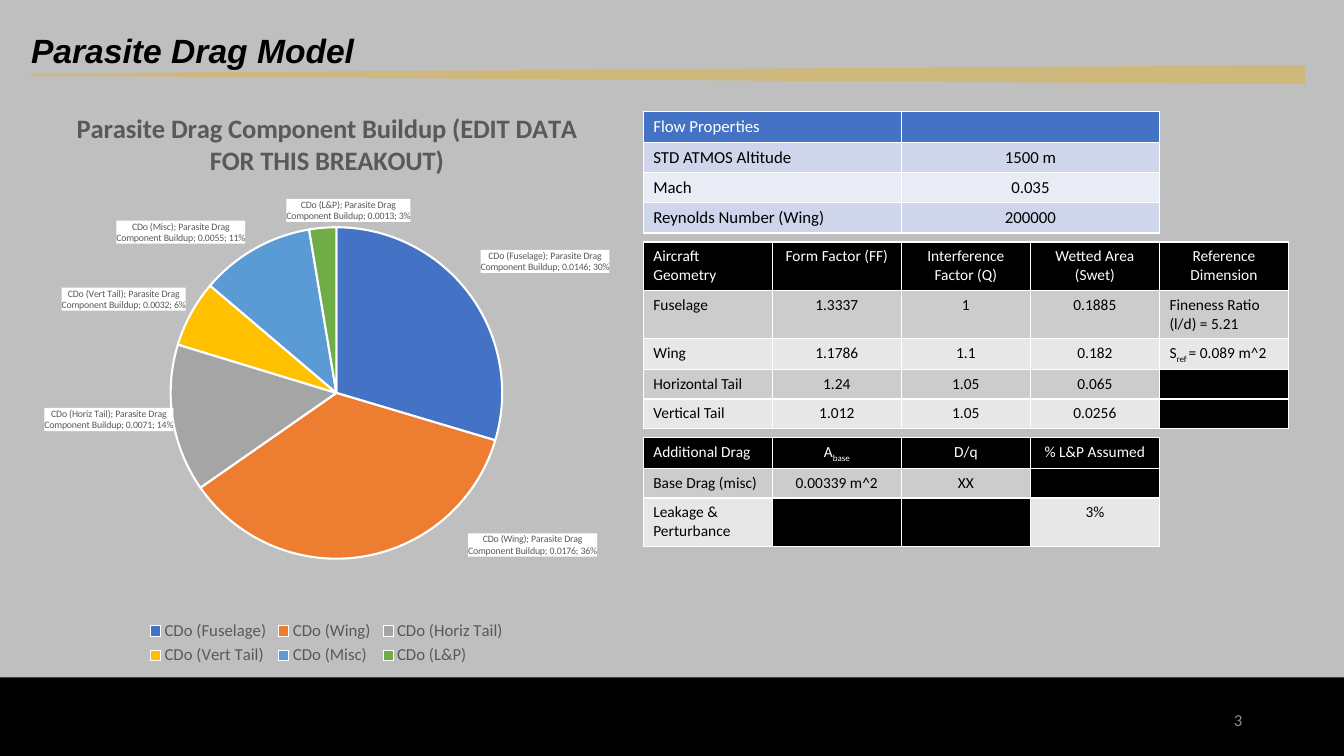
"""Build the parasite drag model slide with its pie chart and three tables."""
import pptx
import pptx.chart.data
import pptx.dml.color
import pptx.enum.chart
import pptx.enum.shapes
import pptx.enum.text
import pptx.oxml
import pptx.oxml.ns
import pptx.util

Inches, Pt = pptx.util.Inches, pptx.util.Pt
ALIGN = pptx.enum.text.PP_ALIGN
COLOURS = {
    name: pptx.dml.color.RGBColor.from_string(value)
    for name, value in {
        "background": "BFBFBF", "gold": "CFB87C", "black": "000000", "white": "FFFFFF",
        "number": "8C8C8C", "chart text": "595959", "blue": "4472C4",
        "blue dark": "CFD5EA", "blue light": "E9EBF5",
        "grey dark": "CCCCCC", "grey light": "E7E7E7",
        "orange": "ED7D31", "grey": "A5A5A5", "yellow": "FFC000",
        "sky": "5B9BD5", "green": "70AD47",
    }.items()
}


def style_font(font, size, colour, **formats):
    """Set the font name, size, colour and any other format values."""
    for name, value in {"name": "Calibri", "size": Pt(size), "bold": False, **formats}.items():
        setattr(font, name, value)
    font.color.rgb = COLOURS[colour]


def set_layout(element, **places):
    """Give a chart element a manual layout in fractions of the chart."""
    values = "".join(f'<c:{name} val="{value}"/>' for name, value in places.items())
    layout = pptx.oxml.parse_xml(
        f'<c:layout {pptx.oxml.ns.nsdecls("c")}><c:manualLayout>{values}</c:manualLayout></c:layout>')
    for previous in element.findall(pptx.oxml.ns.qn("c:layout")):
        element.remove(previous)
    anchor = element.find(pptx.oxml.ns.qn("c:tx"))
    if anchor is None:
        anchor = element.find(pptx.oxml.ns.qn("c:legendPos"))
    if anchor is None:
        element.insert(0, layout)
    else:
        anchor.addnext(layout)


deck = pptx.Presentation()
deck.slide_width, deck.slide_height = Inches(13.33), Inches(7.5)
page = deck.slides.add_slide(deck.slide_layouts[6])
page.background.fill.solid()
page.background.fill.fore_color.rgb = COLOURS["background"]

shapes = pptx.enum.shapes.MSO_SHAPE
for kind, place, colour, turn in [
    (shapes.TRAPEZOID, (6.53, -5.58, 0.19, 12.64), "gold", 270),
    (shapes.RECTANGLE, (0, 6.72, 13.33, 0.78), "black", 0),
]:
    band = page.shapes.add_shape(kind, *map(Inches, place))
    band.shadow.inherit = False
    band.rotation = turn
    band.fill.solid()
    band.fill.fore_color.rgb = COLOURS[colour]
    band.line.fill.background()
    if turn:
        band.adjustments[0] = 0.44

for text, place, align, size, colour, formats in [
    ("Parasite Drag Model", (0.21, 0.13, 12.21, 0.78), ALIGN.LEFT, 24, "black",
     {"name": "Arial", "bold": True, "italic": True}),
    ("3", (9.42, 6.95, 3, 0.4), ALIGN.RIGHT, 12, "number", {}),
]:
    box = page.shapes.add_textbox(*map(Inches, place))
    box.text_frame.word_wrap = True
    box.text_frame.vertical_anchor = pptx.enum.text.MSO_ANCHOR.MIDDLE
    para = box.text_frame.paragraphs[0]
    para.alignment = align
    para.line_spacing = 0.9
    span = para.add_run()
    span.text = text
    style_font(span.font, size, colour, **formats)

drag_parts = [
    ("CDo (Fuselage)", 0.0146, "blue", (0.01, -0.03)),
    ("CDo (Wing)", 0.0176, "orange", (0.16, -0.05)),
    ("CDo (Horiz Tail)", 0.0071, "grey", (0.01, -0.02)),
    ("CDo (Vert Tail)", 0.0032, "yellow", None),
    ("CDo (Misc)", 0.0055, "sky", (-0.01, 0)),
    ("CDo (L&P)", 0.0013, "green", (0.04, 0)),
]
chart_data = pptx.chart.data.CategoryChartData()
chart_data.categories = [part[0] for part in drag_parts]
chart_data.add_series("Parasite Drag Component Buildup", [part[1] for part in drag_parts])
chart = page.shapes.add_chart(
    pptx.enum.chart.XL_CHART_TYPE.PIE, *map(Inches, (0, 0.87, 6.48, 5.77)), chart_data).chart
style_font(chart.font, 10, "black")
chart.has_title = True
span = chart.chart_title.text_frame.paragraphs[0].add_run()
span.text = "Parasite Drag Component Buildup (EDIT DATA FOR THIS BREAKOUT)"
style_font(span.font, 19, "chart text", bold=True)
chart.has_legend = True
chart.legend.position = pptx.enum.chart.XL_LEGEND_POSITION.BOTTOM
chart.legend.include_in_layout = False
style_font(chart.legend.font, 12, "chart text")
chart.plots[0].vary_by_categories = True
set_layout(chart.chart_title._element, xMode="edge", yMode="edge", x=0.11, y=0.03)
set_layout(chart.legend._element, xMode="edge", yMode="edge", x=0.22, y=0.91, w=0.56, h=0.09)
plot_area = chart.plots[0]._element.getparent()
set_layout(plot_area, layoutTarget="inner", xMode="edge", yMode="edge",
           x=0.26, y=0.24, w=0.51, h=0.57)

series = chart.plots[0].series[0]
label_format = (
    f'<c:spPr><a:solidFill><a:srgbClr val="{COLOURS["white"]}"/></a:solidFill></c:spPr>'
    '<c:txPr><a:bodyPr/><a:p><a:pPr><a:defRPr sz="700" b="0"><a:solidFill>'
    f'<a:srgbClr val="{COLOURS["chart text"]}"/></a:solidFill><a:latin typeface="Calibri"/>'
    '</a:defRPr></a:pPr><a:endParaRPr lang="en-US"/></a:p></c:txPr><c:dLblPos val="bestFit"/>'
    '<c:showLegendKey val="0"/><c:showVal val="1"/><c:showCatName val="1"/>'
    '<c:showSerName val="1"/><c:showPercent val="1"/><c:showBubbleSize val="0"/>'
    '<c:separator>; </c:separator>')
point_labels = ""
for index, (name, value, colour, offset) in enumerate(drag_parts):
    slice_format = series.points[index].format
    slice_format.fill.solid()
    slice_format.fill.fore_color.rgb = COLOURS[colour]
    slice_format.line.color.rgb = COLOURS["white"]
    slice_format.line.width = Pt(1.5)
    if offset:
        point_labels += (
            f'<c:dLbl><c:idx val="{index}"/><c:layout><c:manualLayout><c:x val="{offset[0]}"/>'
            f'<c:y val="{offset[1]}"/></c:manualLayout></c:layout>{label_format}</c:dLbl>')
series._element.find(pptx.oxml.ns.qn("c:cat")).addprevious(pptx.oxml.parse_xml(
    f'<c:dLbls {pptx.oxml.ns.nsdecls("c", "a")}>{point_labels}{label_format}'
    '<c:showLeaderLines val="0"/></c:dLbls>'))

geometry = [
    ["Aircraft Geometry", "Form Factor (FF)", "Interference Factor (Q)", "Wetted Area (Swet)",
     "Reference Dimension"],
    ["Fuselage", "1.3337", "1", "0.1885", "Fineness Ratio (l/d) = 5.21"],
    ["Wing", "1.1786", "1.1", "0.182", "S|ref |= 0.089 m^2"],
    ["Horizontal Tail", "1.24", "1.05", "0.065", ""],
    ["Vertical Tail", "1.012", "1.05", "0.0256", ""],
]
additional_drag = [
    ["Additional Drag", "A|base", "D/q", "% L&P Assumed"],
    ["Base Drag (misc)", "0.00339 m^2", "XX", ""],
    ["Leakage & Perturbance", "", "", "3%"],
]
flow = [
    ["Flow Properties", ""],
    ["STD ATMOS Altitude", "1500 m"],
    ["Mach", "0.035"],
    ["Reynolds Number (Wing)", "200000"],
]
for rows, top, column_width, heights, size, header, bands in [
    (geometry, 2.4, 1.28, (0.48, 0.48, 0.3, 0.29, 0.29), 11, "black", "grey"),
    (additional_drag, 4.34, 1.28, (0.31, 0.29, 0.48), 11, "black", "grey"),
    (flow, 1.11, 2.56, (0.3,) * 4, 12, "blue", "blue"),
]:
    columns = len(rows[0])
    table = page.shapes.add_table(
        len(rows), columns, Inches(6.38), Inches(top),
        Inches(column_width * columns), Inches(sum(heights))).table
    for column in table.columns:
        column.width = Inches(column_width)
    for row_index, texts in enumerate(rows):
        table.rows[row_index].height = Inches(heights[row_index])
        for column_index, text in enumerate(texts):
            cell = table.cell(row_index, column_index)
            band = f"{bands} dark" if row_index % 2 else f"{bands} light"
            fill = header if row_index == 0 else band if text else "black"
            cell.fill.solid()
            cell.fill.fore_color.rgb = COLOURS[fill]
            para = cell.text_frame.paragraphs[0]
            left = column_index == 0 or (column_index == 4 and row_index > 0)
            para.alignment = ALIGN.LEFT if left else ALIGN.CENTER
            for part_index, part in enumerate(text.split("|") if text else []):
                span = para.add_run()
                span.text = part
                style_font(span.font, size, "black" if row_index else "white")
                if part_index == 1:
                    span.font._element.set("baseline", "-25000")
            if not text:
                para._p.get_or_add_endParaRPr().set("sz", str(size * 100))
            for position, side in enumerate("LRTB"):
                cell._tc.get_or_add_tcPr().insert(position, pptx.oxml.parse_xml(
                    f'<a:ln{side} {pptx.oxml.ns.nsdecls("a")} w="{Pt(1)}"><a:solidFill>'
                    f'<a:srgbClr val="{COLOURS["white"]}"/></a:solidFill></a:ln{side}>'))

deck.save("out.pptx")
